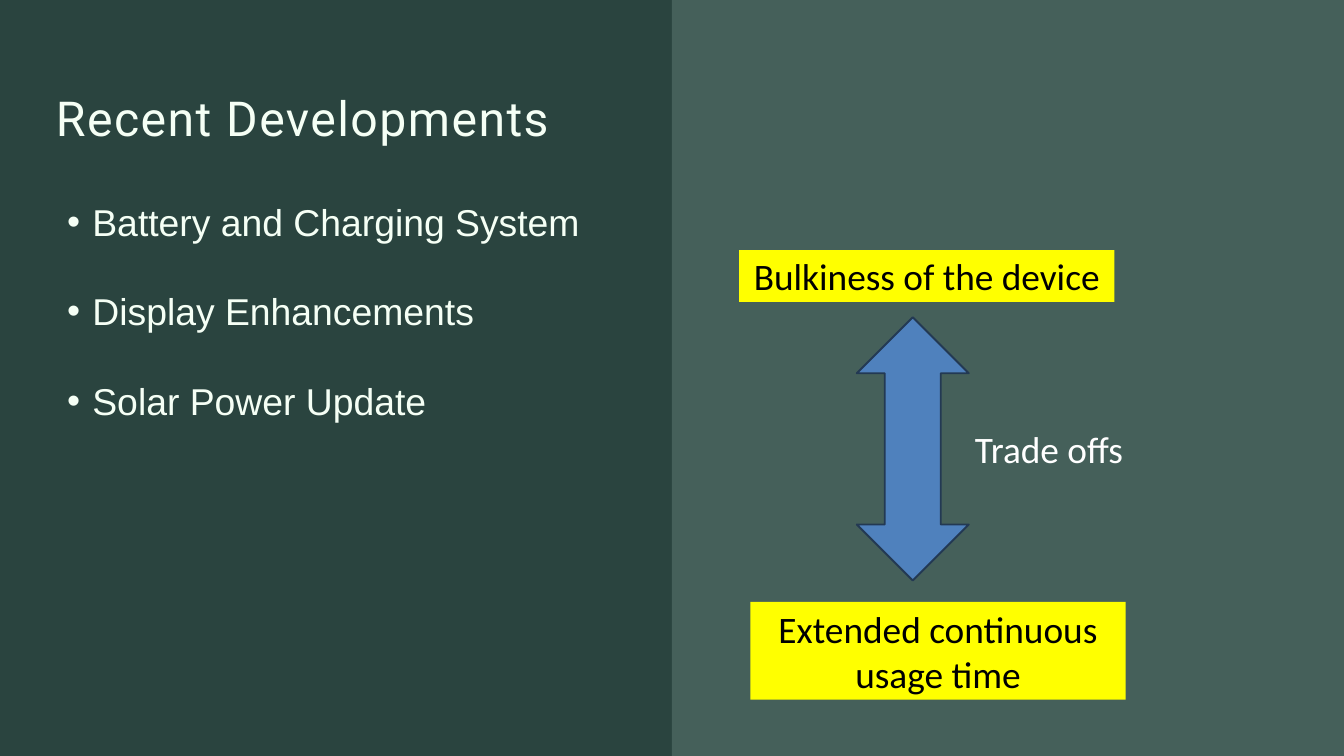
from lxml import etree
from pptx import Presentation
from pptx.dml.color import RGBColor
from pptx.enum.shapes import MSO_SHAPE
from pptx.enum.text import MSO_ANCHOR, PP_ALIGN
from pptx.oxml.ns import qn
from pptx.util import Pt

RECTANGLE = MSO_SHAPE.RECTANGLE
UP_DOWN_ARROW = MSO_SHAPE.UP_DOWN_ARROW
MIDDLE, TOP = MSO_ANCHOR.MIDDLE, MSO_ANCHOR.TOP
CENTER, LEFT = PP_ALIGN.CENTER, PP_ALIGN.LEFT

WIDTH, HEIGHT = 1440, 810
DARK, PANEL, MINT = "2A443F", "45605A", "F5FFF5"
YELLOW, BLUE, NAVY = "FFFF00", "4F81BD", "233953"
BLACK, WHITE = "000000", "FFFFFF"


def color(hex_string):
    return RGBColor.from_string(hex_string)


def style(para, font_name, size, hex_string):
    para.font.name = font_name
    para.font.size = Pt(size)
    para.font.color.rgb = color(hex_string)


def add_shape(page, kind, box, fill, line=None):
    shape = page.shapes.add_shape(kind, *map(Pt, box))
    shape.shadow.inherit = False
    shape.fill.solid()
    shape.fill.fore_color.rgb = color(fill)
    if line:
        shape.line.color.rgb = color(line)
        shape.line.width = Pt(2)
    else:
        shape.line.fill.background()
    return shape


def add_plain_frame(page, box):
    """Add a wrapping text box without insets and return its text frame."""
    frame = page.shapes.add_textbox(*map(Pt, box)).text_frame
    frame.word_wrap = True
    frame.margin_left = frame.margin_right = 0
    frame.margin_top = frame.margin_bottom = 0
    return frame


def add_title(page, box, text):
    para = add_plain_frame(page, box).paragraphs[0]
    para.text = text
    para.line_spacing = Pt(72.2)
    style(para, "Roboto", 51.6, MINT)
    para.runs[0].font._element.set("spc", "160")


def add_bullets(page, box, items):
    frame = add_plain_frame(page, box)
    frame.text = "\n".join(items)
    for para in frame.paragraphs:
        para.line_spacing = 2.0
        properties = para._p.get_or_add_pPr()
        properties.set("marL", str(Pt(27)))
        properties.set("indent", str(-Pt(27)))
        etree.SubElement(properties, qn("a:buFont"), typeface="Arial")
        etree.SubElement(properties, qn("a:buChar"), char="•")
        style(para, "Arial", 40, MINT)


def add_label(shape, text, hex_string, alignment, anchor):
    frame = shape.text_frame
    frame.word_wrap = True
    frame.vertical_anchor = anchor
    frame.text = text
    para = frame.paragraphs[0]
    para.alignment = alignment
    style(para, "Calibri", 40, hex_string)


def add_trade_off(page, box):
    """Draw the panel with two opposing goals joined by a double arrow."""
    left, top, _, _ = box
    add_shape(page, RECTANGLE, box, PANEL)
    goals = (
        ("Bulkiness of the device", 72, 268, 55.5),
        ("Extended continuous usage time", 84, 645, 104.5),
    )
    for text, x, y, height in goals:
        goal = add_shape(page, RECTANGLE, (left + x, top + y, 402, height), YELLOW)
        add_label(goal, text, BLACK, CENTER, MIDDLE)
    add_shape(page, UP_DOWN_ARROW, (left + 198, top + 340, 120, 282), BLUE, NAVY)
    caption = page.shapes.add_textbox(
        Pt(left + 317.5), Pt(top + 453.5), Pt(199), Pt(55.5))
    add_label(caption, "Trade offs", WHITE, LEFT, TOP)


def main():
    deck = Presentation()
    deck.slide_width, deck.slide_height = Pt(WIDTH), Pt(HEIGHT)
    page = deck.slides.add_slide(deck.slide_layouts[6])
    page.background.fill.solid()
    page.background.fill.fore_color.rgb = color(DARK)

    add_trade_off(page, (WIDTH / 2, 0, WIDTH / 2, HEIGHT))
    add_title(page, (60, 84, 648, 70), "Recent Developments")
    add_bullets(page, (72, 165, 1152, 276), (
        "Battery and Charging System",
        "Display Enhancements",
        "Solar Power Update",
    ))
    deck.save("out.pptx")


if __name__ == "__main__":
    main()
